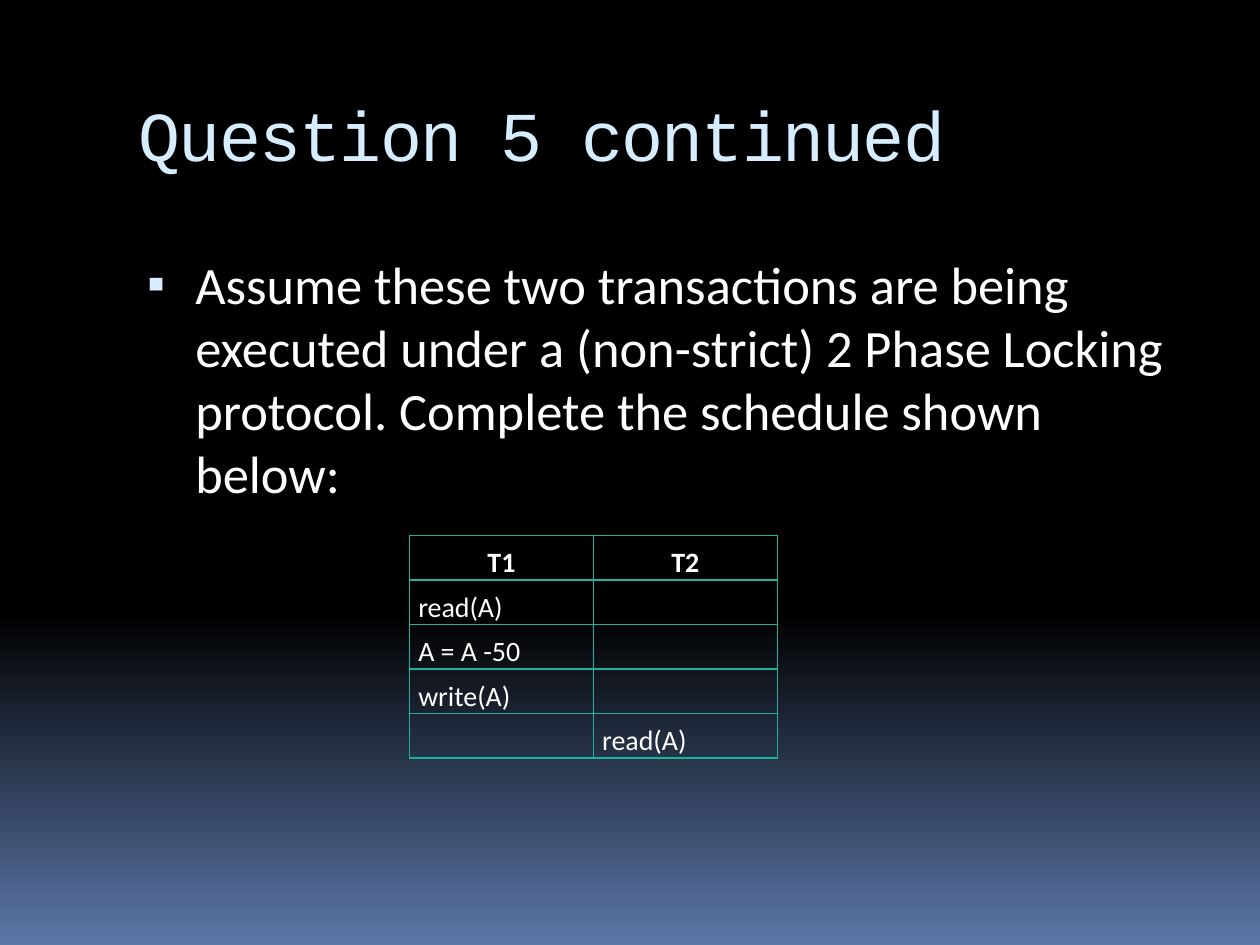
from copy import deepcopy
from lxml import etree
from pptx import Presentation
from pptx.dml.color import RGBColor
from pptx.enum.text import MSO_ANCHOR, MSO_AUTO_SIZE, PP_ALIGN
from pptx.oxml.ns import qn
from pptx.util import Inches, Pt


def rgb(value):
    return RGBColor.from_string(value)


def add_xml(parent, tag, **attrs):
    return etree.SubElement(parent, qn(tag), **attrs)


class Deck:
    """Holds the style and the current slide."""
    WHITE, PALE, TEAL = "FFFFFF", "D6ECFF", "1AB39F"
    TITLE = dict(name="Courier New", size=Pt(40), bold=False)
    BODY = dict(name="Calibri", size=Pt(30), bold=False)
    HEAD = dict(name="Calibri", size=Pt(16), bold=True)
    CELL = dict(HEAD, bold=False)

    def __init__(self, prs):
        self.slide = prs.slides.add_slide(prs.slide_layouts[1])

    def style(self, font, formats, color):
        for key, value in formats.items():
            setattr(font, key, value)
        font.color.rgb = rgb(color)

    def background(self, stops, angle):
        fill = self.slide.background.fill
        fill.gradient()
        fill.gradient_angle = angle
        gs_list = self.slide.element.find(".//" + qn("a:gsLst"))
        while len(gs_list) < len(stops):
            gs_list.append(deepcopy(gs_list[0]))
        for stop, (position, color) in zip(fill.gradient_stops, stops):
            stop.position = position
            stop.color.rgb = rgb(color)

    def placeholder(self, sp, box, text, formats, color, anchor):
        sp.left, sp.top, sp.width, sp.height = map(Inches, box)
        tf = sp.text_frame
        tf.word_wrap, tf.auto_size = True, MSO_AUTO_SIZE.NONE
        tf.vertical_anchor = anchor
        p = tf.paragraphs[0]
        p.alignment = PP_ALIGN.LEFT
        r = p.add_run()
        r.text = text
        self.style(r.font, formats, color)
        return p

    def title(self, box, text):
        p = self.placeholder(self.slide.shapes.title, box, text, self.TITLE,
                             self.PALE, MSO_ANCHOR.MIDDLE)
        p.runs[0].font._element.set("spc", "-100")

    def bullet(self, box, text):
        p = self.placeholder(self.slide.placeholders[1], box, text, self.BODY,
                             self.WHITE, MSO_ANCHOR.TOP)
        p.space_before = Pt(7)
        pPr = p._p.get_or_add_pPr()
        pPr.set("marL", str(Inches(0.45)))
        pPr.set("indent", str(Inches(-0.38)))
        add_xml(add_xml(pPr, "a:buClr"), "a:srgbClr", val=self.PALE)
        add_xml(pPr, "a:buSzPct", val="95000")
        add_xml(pPr, "a:buFont", typeface="Calibri")
        add_xml(pPr, "a:buChar", char="▪")

    def borders(self, cell):
        tcPr = cell._tc.get_or_add_tcPr()
        for i, side in enumerate(("a:lnL", "a:lnR", "a:lnT", "a:lnB")):
            ln = etree.Element(qn(side), w=str(Pt(1)))
            add_xml(add_xml(ln, "a:solidFill"), "a:srgbClr", val=self.TEAL)
            tcPr.insert(i, ln)

    def table(self, left, top, col_width, row_height, rows):
        cols = len(rows[0])
        table = self.slide.shapes.add_table(
            len(rows), cols, Inches(left), Inches(top),
            Inches(col_width * cols), Inches(row_height * len(rows))).table
        table.horz_banding = False
        for row in table.rows:
            row.height = Inches(row_height)
        for i, row in enumerate(rows):
            for j, text in enumerate(row):
                cell = table.cell(i, j)
                cell.margin_left = cell.margin_right = Inches(0.07)
                cell.margin_top = cell.margin_bottom = 0
                cell.fill.background()
                self.borders(cell)
                p = cell.text_frame.paragraphs[0]
                p.line_spacing = 1.3
                p.alignment = PP_ALIGN.LEFT if i else PP_ALIGN.CENTER
                formats = self.CELL if i else self.HEAD
                if text:
                    r = p.add_run()
                    r.text = text
                    self.style(r.font, formats, self.WHITE)
                else:
                    add_xml(p._p, "a:endParaRPr", sz="1600")


prs = Presentation()
prs.slide_width, prs.slide_height = Inches(10), Inches(7.5)
deck = Deck(prs)

# Background fading to blue at the bottom
deck.background([(0, "000000"), (0.65, "000000"), (1, "5B77A8")], 270)

# Title and question
deck.title((1, 0.56, 8.5, 1), "Question 5 continued")
deck.bullet((1, 1.95, 8.5, 5),
            "Assume these two transactions are being executed under a "
            "(non-strict) 2 Phase Locking protocol. Complete the schedule "
            "shown below:")

# Transaction schedule
deck.table(3.25, 4.25, 1.46, 0.35, [
    ("T1", "T2"),
    ("read(A)", ""),
    ("A = A -50", ""),
    ("write(A)", ""),
    ("", "read(A)"),
])

prs.save("out.pptx")
